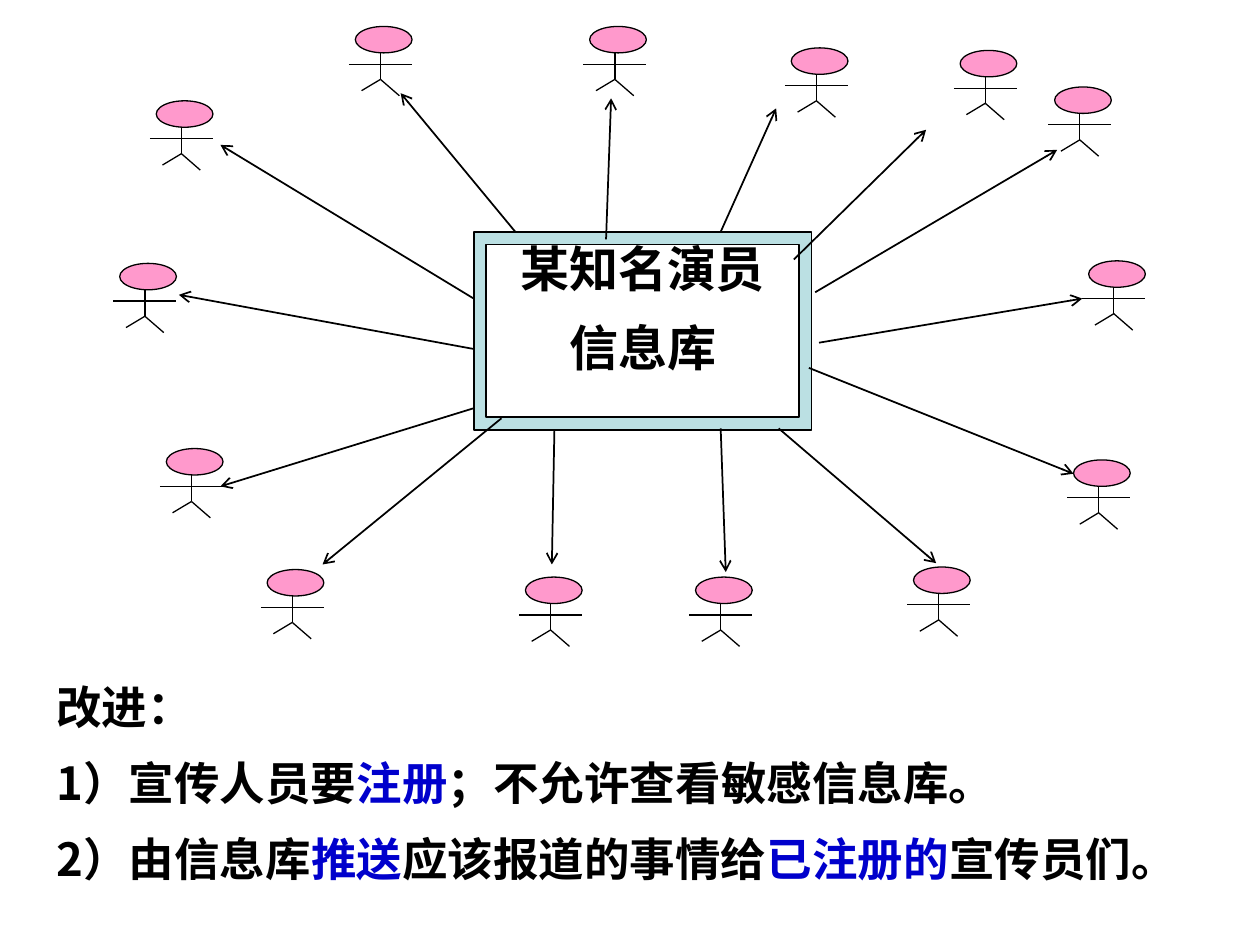
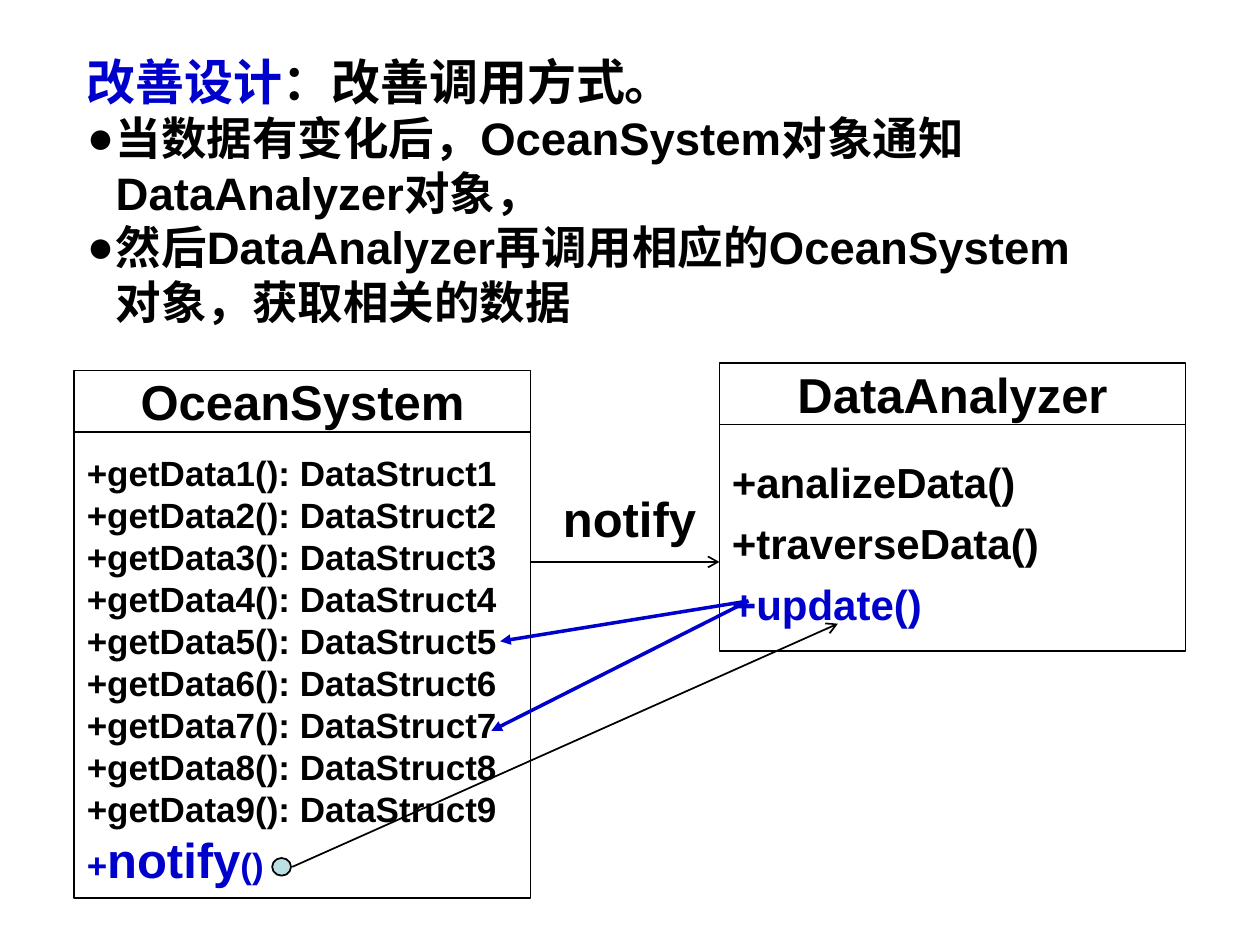
"""Builds two slides on pushing news from a database to registered listeners."""
from typing import NamedTuple, Optional

from lxml import etree
from pptx import Presentation
from pptx.dml.color import RGBColor
from pptx.enum.shapes import MSO_CONNECTOR, MSO_SHAPE
from pptx.enum.text import MSO_ANCHOR, PP_ALIGN
from pptx.oxml.ns import qn
from pptx.util import Inches, Pt

BLACK = RGBColor(0x00, 0x00, 0x00)
WHITE = RGBColor(0xFF, 0xFF, 0xFF)
BLUE = RGBColor(0x00, 0x00, 0xCC)
PINK = RGBColor(0xFF, 0x99, 0xCC)
TEAL = RGBColor(0xBB, 0xE0, 0xE3)

LATIN = "Arial"
CJK = "Noto Sans CJK SC"

RECT = MSO_SHAPE.RECTANGLE
OVAL = MSO_SHAPE.OVAL
STRAIGHT = MSO_CONNECTOR.STRAIGHT
LEFT, CENTER = PP_ALIGN.LEFT, PP_ALIGN.CENTER
TOP, MIDDLE = MSO_ANCHOR.TOP, MSO_ANCHOR.MIDDLE
BLANK_LAYOUT = 6
NAME_HEIGHT = 0.49


class Point(NamedTuple):
    """A position in inches."""
    x: float
    y: float


class Box(NamedTuple):
    """A rectangle in inches."""
    x: float
    y: float
    w: float
    h: float


class Span(NamedTuple):
    """A stretch of text, with its own size where it differs."""
    text: str
    color: RGBColor = BLACK
    size: Optional[float] = None


class Para(NamedTuple):
    """A paragraph of spans, bulleted or plain."""
    spans: list
    bullet: bool = False


class Arrow(NamedTuple):
    """An arrow between two points."""
    start: Point
    end: Point


class ClassBox(NamedTuple):
    """A class diagram box with its name and methods."""
    name: str
    x: float
    y: float
    w: float
    body_h: float
    methods: list
    size: float
    before: float


ACTORS = [
    Point(7.57, 0.4), Point(8.32, 0.69), Point(8.59, 2.07), Point(8.47, 3.65),
    Point(4.63, 0.21), Point(2.77, 0.21), Point(2.07, 4.52), Point(4.12, 4.58),
    Point(5.47, 4.58), Point(7.2, 4.5), Point(6.23, 0.38), Point(1.19, 0.8),
    Point(1.27, 3.56), Point(0.9, 2.09),
]
LIMBS = [
    (Point(0, 0.3), Point(0.5, 0.3)),
    (Point(0.25, 0.21), Point(0.25, 0.42)),
    (Point(0.25, 0.42), Point(0.1, 0.51)),
    (Point(0.25, 0.42), Point(0.4, 0.55)),
]
PUSHES = [
    Arrow(Point(4.09, 1.84), Point(3.18, 0.74)),
    Arrow(Point(4.81, 1.9), Point(4.85, 0.78)),
    Arrow(Point(5.72, 1.84), Point(6.16, 0.86)),
    Arrow(Point(6.3, 2.06), Point(7.35, 1.03)),
    Arrow(Point(6.47, 2.32), Point(8.39, 1.19)),
    Arrow(Point(4.4, 3.41), Point(4.38, 4.48)),
    Arrow(Point(5.72, 3.4), Point(5.76, 4.54)),
    Arrow(Point(6.18, 3.4), Point(7.43, 4.47)),
    Arrow(Point(6.42, 2.92), Point(8.52, 3.76)),
    Arrow(Point(3.76, 2.37), Point(1.75, 1.15)),
    Arrow(Point(3.76, 2.77), Point(1.42, 2.34)),
    Arrow(Point(3.76, 3.24), Point(1.75, 3.86)),
    Arrow(Point(3.98, 3.32), Point(2.56, 4.48)),
    Arrow(Point(6.5, 2.72), Point(8.59, 2.37)),
]
DATABASE = Box(3.76, 1.84, 2.68, 1.57)
FRAME = 0.1

IMPROVEMENTS = [
    Para([Span("改进：")]),
    Para([Span("1）宣传人员要"), Span("注册", BLUE),
          Span("；不允许查看敏感信息库。")]),
    Para([Span("2）由信息库"), Span("推送", BLUE), Span("应该报道的事情给"),
          Span("已注册的", BLUE), Span("宣传员们。")]),
]
DESIGN = [
    Para([Span("改善设计", BLUE, 28), Span("：改善调用方式。", BLACK, 28)]),
    Para([Span("当数据有变化后，OceanSystem对象通知DataAnalyzer对象，")], True),
    Para([Span("然后DataAnalyzer再调用相应的OceanSystem对象，获取相关的数据")], True),
]
CLASSES = [
    ClassBox("OceanSystem", 0.59, 2.94, 3.62, 3.7,
             [Para([Span(f"+getData{i}(): DataStruct{i}")]) for i in range(1, 10)]
             + [Para([Span("+", BLUE), Span("notify", BLUE, 28), Span("()", BLUE)])],
             20, 0),
    ClassBox("DataAnalyzer", 5.71, 2.88, 3.7, 1.8,
             [Para([Span("+analizeData()")]), Para([Span("+traverseData()")]),
              Para([Span("+update()", BLUE)])],
             24, 6),
]
UPDATE_CALLS = [
    Arrow(Point(5.94, 4.77), Point(3.9, 5.8)),
    Arrow(Point(5.94, 4.77), Point(3.97, 5.09)),
]


def add_bullet(p) -> None:
    """Gives a paragraph a round bullet and a hanging indent."""
    pPr = p._p.get_or_add_pPr()
    pPr.set("marL", str(Inches(0.23)))
    pPr.set("indent", str(-Inches(0.23)))
    color = etree.SubElement(pPr, qn("a:buClr"))
    etree.SubElement(color, qn("a:srgbClr"), val=str(BLACK))
    etree.SubElement(pPr, qn("a:buFont"), typeface=LATIN)
    etree.SubElement(pPr, qn("a:buChar"), char="●")


def write(sp, paras: list, *, size: float, font: str = LATIN, align=LEFT,
          anchor=TOP, before: float = 0, after: float = 0, line: float = 1,
          top: float = 0.05) -> None:
    """Fills a shape with bold paragraphs."""
    tf = sp.text_frame
    tf.word_wrap = True
    tf.vertical_anchor = anchor
    tf.margin_left = tf.margin_right = Inches(0.1)
    tf.margin_top, tf.margin_bottom = Inches(top), Inches(0.05)
    for i, para in enumerate(paras):
        p = tf.add_paragraph() if i else tf.paragraphs[0]
        p.alignment = align
        p.line_spacing = line
        p.space_before, p.space_after = Pt(before), Pt(after)
        if para.bullet:
            add_bullet(p)
        for span in para.spans:
            r = p.add_run()
            r.text = span.text
            r.font.size = Pt(span.size or size)
            r.font.bold = True
            r.font.name = font
            r.font.color.rgb = span.color
            etree.SubElement(r._r.get_or_add_rPr(), qn("a:ea"), typeface=CJK)


def paint(sp, fill: RGBColor, width: float) -> None:
    """Sets a flat fill and a black outline, or none at zero width."""
    sp.shadow.inherit = False
    sp.fill.solid()
    sp.fill.fore_color.rgb = fill
    if width:
        sp.line.color.rgb = BLACK
        sp.line.width = Pt(width)
    else:
        sp.line.fill.background()


def add_box(shapes, kind, box: Box, fill: RGBColor, width: float = 1):
    """Adds a painted preset shape."""
    sp = shapes.add_shape(kind, *map(Inches, box))
    paint(sp, fill, width)
    return sp


def add_line(shapes, start: Point, end: Point, *, color: RGBColor = BLACK,
             width: float = 1, head: Optional[str] = None) -> None:
    """Adds a straight connector, with an arrowhead at its end if asked."""
    line = shapes.add_connector(STRAIGHT, *map(Inches, start + end))
    line.line.color.rgb = color
    line.line.width = Pt(width)
    if head:
        etree.SubElement(line.line._get_or_add_ln(), qn("a:tailEnd"), type=head)
    etree.SubElement(line._element.spPr, qn("a:effectLst"))


def add_actor(s, at: Point) -> None:
    """Draws a stick figure as one group."""
    shapes = s.shapes.add_group_shape().shapes
    add_box(shapes, OVAL, Box(at.x + 0.05, at.y, 0.45, 0.21), PINK, 0.75)
    for start, end in LIMBS:
        add_line(shapes, Point(at.x + start.x, at.y + start.y),
                 Point(at.x + end.x, at.y + end.y), width=0.75)


def add_database(s) -> None:
    """Draws the framed database with its name."""
    x, y, w, h = DATABASE
    r, b = x + w, y + h
    outer = [(x, y), (r, y), (r, b), (x, b)]
    inner = [(x + FRAME, y + FRAME), (x + FRAME, b - FRAME),
             (r - FRAME, b - FRAME), (r - FRAME, y + FRAME)]
    outer, inner = ([(Inches(px), Inches(py)) for px, py in ring]
                    for ring in (outer, inner))
    builder = s.shapes.build_freeform(*outer[0])
    builder.add_line_segments(outer[1:])
    builder.move_to(*inner[0])
    builder.add_line_segments(inner[1:])
    sp = builder.convert_to_shape()
    paint(sp, TEAL, 1)
    write(sp, [Para([Span("某知名演员")]), Para([Span("信息库")])], size=28,
          font=CJK, align=CENTER, before=6, after=6)


def add_class(s, c: ClassBox) -> None:
    """Draws a class with a name box above its methods."""
    name = add_box(s.shapes, RECT, Box(c.x, c.y, c.w, NAME_HEIGHT), WHITE)
    write(name, [Para([Span(c.name)])], size=28, align=CENTER, anchor=MIDDLE)
    body = add_box(s.shapes, RECT,
                   Box(c.x, c.y + NAME_HEIGHT, c.w, c.body_h), WHITE)
    write(body, c.methods, size=c.size, anchor=MIDDLE, before=c.before, top=0.12)


def build_push_slide(prs) -> None:
    """Shows the database pushing to every registered reporter."""
    s = prs.slides.add_slide(prs.slide_layouts[BLANK_LAYOUT])
    add_database(s)
    notes = add_box(s.shapes, RECT, Box(0.35, 5.25, 9.21, 1.83), WHITE, 0)
    write(notes, IMPROVEMENTS, size=26, font=CJK, before=6, line=1.2)
    for at in ACTORS:
        add_actor(s, at)
    for push in PUSHES:
        add_line(s.shapes, push.start, push.end, head="arrow")


def build_class_slide(prs) -> None:
    """Shows how one class notifies the other."""
    s = prs.slides.add_slide(prs.slide_layouts[BLANK_LAYOUT])
    for c in CLASSES:
        add_class(s, c)
    add_line(s.shapes, Point(4.21, 4.46), Point(5.71, 4.46), head="arrow")
    design = s.shapes.add_textbox(*map(Inches, Box(0.59, 0.36, 8.35, 2.3)))
    write(design, DESIGN, size=26)
    label = s.shapes.add_textbox(*map(Inches, Box(4.37, 3.83, 1.33, 0.57)))
    write(label, [Para([Span("notify")])], size=28, before=6)
    call = s.shapes.add_group_shape().shapes
    add_box(call, OVAL, Box(2.16, 6.81, 0.15, 0.14), TEAL)
    add_line(call, Point(2.32, 6.88), Point(6.65, 4.95), head="arrow")
    for update in UPDATE_CALLS:
        add_line(s.shapes, update.start, update.end, color=BLUE, width=2,
                 head="triangle")


def main() -> None:
    """Builds and saves the presentation."""
    prs = Presentation()
    prs.slide_width, prs.slide_height = Inches(10), Inches(7.5)
    build_push_slide(prs)
    build_class_slide(prs)
    prs.save("out.pptx")


if __name__ == "__main__":
    main()
